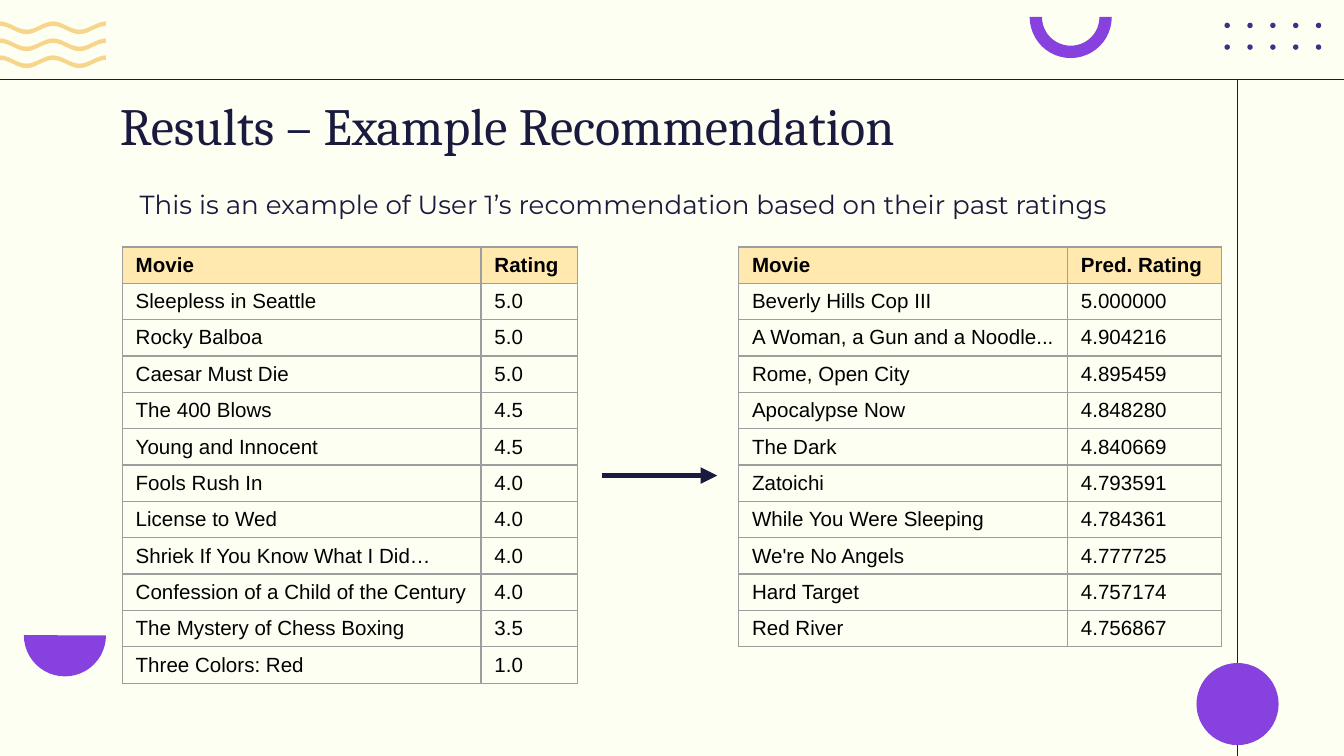
"""Build the example recommendation slide with past and predicted movie ratings."""
from dataclasses import dataclass

import lxml.etree
import pptx
import pptx.dml.color
import pptx.enum.shapes
import pptx.enum.text
import pptx.oxml.ns
import pptx.util

Pt = pptx.util.Pt
qn = pptx.oxml.ns.qn
Preset = pptx.enum.shapes.MSO_SHAPE
Anchor = pptx.enum.text.MSO_ANCHOR

CREAM, NAVY, PURPLE = "FDFFF3", "1A1A3E", "8641DF"
INDIGO, SAND, AMBER, GREY, BLACK = "3B3188", "FFE9AF", "F7D58B", "9E9E9E", "000000"
ROW_HEIGHT = 19.5


@dataclass
class Ornament:
    preset: Preset
    left: float
    top: float
    size: float
    color: str
    rotation: float = 0
    adjustments: tuple[float, ...] = ()


@dataclass
class Rule:
    start: tuple[float, float]
    end: tuple[float, float]
    width: float = 0.75
    arrow: bool = False


@dataclass
class RatingTable:
    left: float
    top: float
    columns: tuple[float, float]
    header: tuple[str, str]
    ratings: list[tuple[str, str]]


def paint(fill, color: str) -> None:
    fill.solid()
    fill.fore_color.rgb = pptx.dml.color.RGBColor.from_string(color)


def write(frame, text: str, font: str, size: float, color: str, bold: bool = False) -> None:
    run = frame.paragraphs[0].add_run()
    run.text = text
    run.font.name, run.font.size, run.font.bold = font, Pt(size), bold
    paint(run.font.fill, color)


def set_up_frame(frame) -> None:
    frame.word_wrap = True
    frame.auto_size = pptx.enum.text.MSO_AUTO_SIZE.NONE
    frame.vertical_anchor = Anchor.TOP
    frame.margin_left = frame.margin_right = Pt(7.2)
    frame.margin_top = frame.margin_bottom = Pt(7.2)
    frame.paragraphs[0].alignment = pptx.enum.text.PP_ALIGN.LEFT


def finish(shape, color: str) -> None:
    shape.shadow.inherit = False
    paint(shape.fill, color)
    shape.line.fill.background()


def draw_ornament(shapes, item: Ornament) -> None:
    shape = shapes.add_shape(
        item.preset, Pt(item.left), Pt(item.top), Pt(item.size), Pt(item.size))
    shape.rotation = item.rotation
    for index, value in enumerate(item.adjustments):
        shape.adjustments[index] = value
    finish(shape, item.color)


def round_swings(wave) -> None:
    x, y = 0, 0
    for segment in wave._element.iter(qn("a:moveTo"), qn("a:lnTo")):
        start_x, start_y = x, y
        x, y = int(segment[0].get("x")), int(segment[0].get("y"))
        if segment.tag == qn("a:lnTo") and x != start_x:
            pull = int(0.36 * (x - start_x))
            segment.tag = qn("a:cubicBezTo")
            for index, (px, py) in enumerate([(start_x + pull, start_y), (x - pull, y)]):
                segment.insert(index, lxml.etree.Element(qn("a:pt"), x=str(px), y=str(py)))


def draw_wave(shapes, top: float) -> None:
    reach, half_period, swing, thickness = 56.8, 14.2, 4.4, 2.4
    crest = [(-reach + half_period * i, top + swing * (i % 2)) for i in range(9)]
    outline = crest + [(x, y + thickness) for x, y in reversed(crest)]
    points = [(Pt(x), Pt(y)) for x, y in outline]
    builder = shapes.build_freeform(*points[0], scale=1.0)
    builder.add_line_segments(points[1:], close=True)
    wave = builder.convert_to_shape()
    round_swings(wave)
    finish(wave, AMBER)


def draw_rule(shapes, rule: Rule) -> None:
    connector = shapes.add_connector(
        pptx.enum.shapes.MSO_CONNECTOR.STRAIGHT,
        *(Pt(value) for value in rule.start + rule.end))
    connector.line.width = Pt(rule.width)
    paint(connector.line.fill, NAVY)
    if rule.arrow:
        line = connector.line._get_or_add_ln()
        lxml.etree.SubElement(line, qn("a:tailEnd"), type="triangle")
    lxml.etree.SubElement(connector._element.spPr, qn("a:effectLst"))


def draw_borders(cell) -> None:
    properties = cell._tc.get_or_add_tcPr()
    for side in ("a:lnL", "a:lnR", "a:lnT", "a:lnB"):
        border = lxml.etree.SubElement(properties, qn(side), w=str(Pt(0.75)))
        solid = lxml.etree.SubElement(border, qn("a:solidFill"))
        lxml.etree.SubElement(solid, qn("a:srgbClr"), val=GREY)


def draw_table(shapes, data: RatingTable) -> None:
    rows = [data.header, *data.ratings]
    table = shapes.add_table(
        len(rows), len(data.columns), Pt(data.left), Pt(data.top),
        Pt(sum(data.columns)), Pt(ROW_HEIGHT * len(rows))).table
    for column, width in zip(table.columns, data.columns):
        column.width = Pt(width)
    for row_index, values in enumerate(rows):
        table.rows[row_index].height = Pt(ROW_HEIGHT)
        is_header = row_index == 0
        for column_index, value in enumerate(values):
            cell = table.cell(row_index, column_index)
            cell.margin_left, cell.margin_right = Pt(7.2), Pt(4)
            cell.margin_top = cell.margin_bottom = Pt(3.2)
            cell.vertical_anchor = Anchor.MIDDLE
            draw_borders(cell)
            paint(cell.fill, SAND if is_header else CREAM)
            write(cell.text_frame, value, "Arial", 11, BLACK, is_header)


DOTS = [
    Ornament(Preset.OVAL, 656 + 12.24 * column, 12.2 + 11.6 * row, 2.9, INDIGO)
    for row in range(2) for column in range(5)
]
ARCH = Ornament(Preset.BLOCK_ARC, 551.6, -12.9, 44, PURPLE, 180, (108, 0.075, 0.15))
BOWL = Ornament(Preset.PIE, 12.8, 318.4, 44, PURPLE, 0, (0, 108.25))
CORNER_DISC = Ornament(Preset.OVAL, 641, 355.2, 44, PURPLE)
FRAME_RULES = [Rule((-4, 42.6), (724, 42.6)), Rule((663, 42.9), (663, 420))]
RECOMMENDS = Rule((322.5, 254.8), (384.3, 254.8), 3, True)

PAST = RatingTable(65.5, 132.3, (192.2, 51.9), ("Movie", "Rating"), [
    ("Sleepless in Seattle", "5.0"),
    ("Rocky Balboa", "5.0"),
    ("Caesar Must Die", "5.0"),
    ("The 400 Blows", "4.5"),
    ("Young and Innocent", "4.5"),
    ("Fools Rush In", "4.0"),
    ("License to Wed", "4.0"),
    ("Shriek If You Know What I Did…", "4.0"),
    ("Confession of a Child of the Century", "4.0"),
    ("The Mystery of Chess Boxing", "3.5"),
    ("Three Colors: Red", "1.0"),
])
PREDICTED = RatingTable(395.7, 132.3, (176.2, 82.6), ("Movie", "Pred. Rating"), [
    ("Beverly Hills Cop III", "5.000000"),
    ("A Woman, a Gun and a Noodle...", "4.904216"),
    ("Rome, Open City", "4.895459"),
    ("Apocalypse Now", "4.848280"),
    ("The Dark", "4.840669"),
    ("Zatoichi", "4.793591"),
    ("While You Were Sleeping", "4.784361"),
    ("We're No Angels", "4.777725"),
    ("Hard Target", "4.757174"),
    ("Red River", "4.756867"),
])


def main() -> None:
    deck = pptx.Presentation()
    deck.slide_width, deck.slide_height = Pt(720), Pt(405)
    slide = deck.slides.add_slide(deck.slide_layouts[5])
    shapes = slide.shapes
    paint(slide.background.fill, CREAM)

    dot_grid = shapes.add_group_shape().shapes
    for dot in DOTS:
        draw_ornament(dot_grid, dot)
    draw_ornament(shapes, ARCH)
    waves = shapes.add_group_shape().shapes
    for index in range(3):
        draw_wave(waves, 11.5 + 9.1 * index)
    draw_ornament(shapes, BOWL)
    frame_lines = shapes.add_group_shape().shapes
    for rule in FRAME_RULES:
        draw_rule(frame_lines, rule)
    draw_ornament(shapes, CORNER_DISC)

    heading = shapes.title
    heading.left, heading.top, heading.width, heading.height = Pt(57), Pt(42.5), Pt(606), Pt(45.4)
    set_up_frame(heading.text_frame)
    write(heading.text_frame, "Results – Example Recommendation", "Cambria", 28, NAVY)

    summary = shapes.add_textbox(Pt(57), Pt(93.6), Pt(606), Pt(103.7)).text_frame
    set_up_frame(summary)
    summary.paragraphs[0]._p.get_or_add_pPr().set("marL", str(Pt(10.8)))
    write(summary, "This is an example of User 1’s recommendation based on their past ratings",
          "Montserrat", 14, NAVY)

    for ratings in (PAST, PREDICTED):
        draw_table(shapes, ratings)
    draw_rule(shapes, RECOMMENDS)
    deck.save("out.pptx")


if __name__ == "__main__":
    main()
